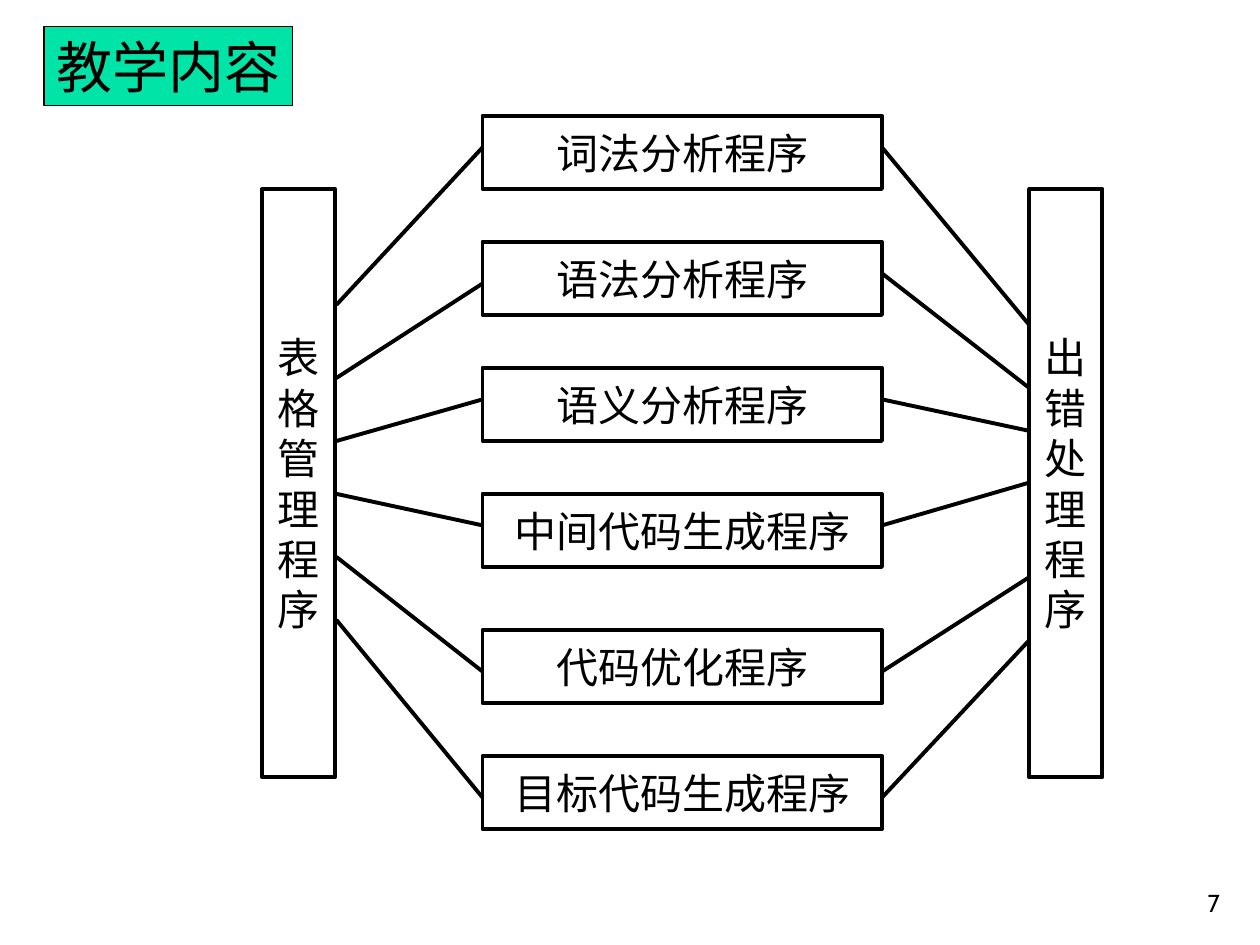
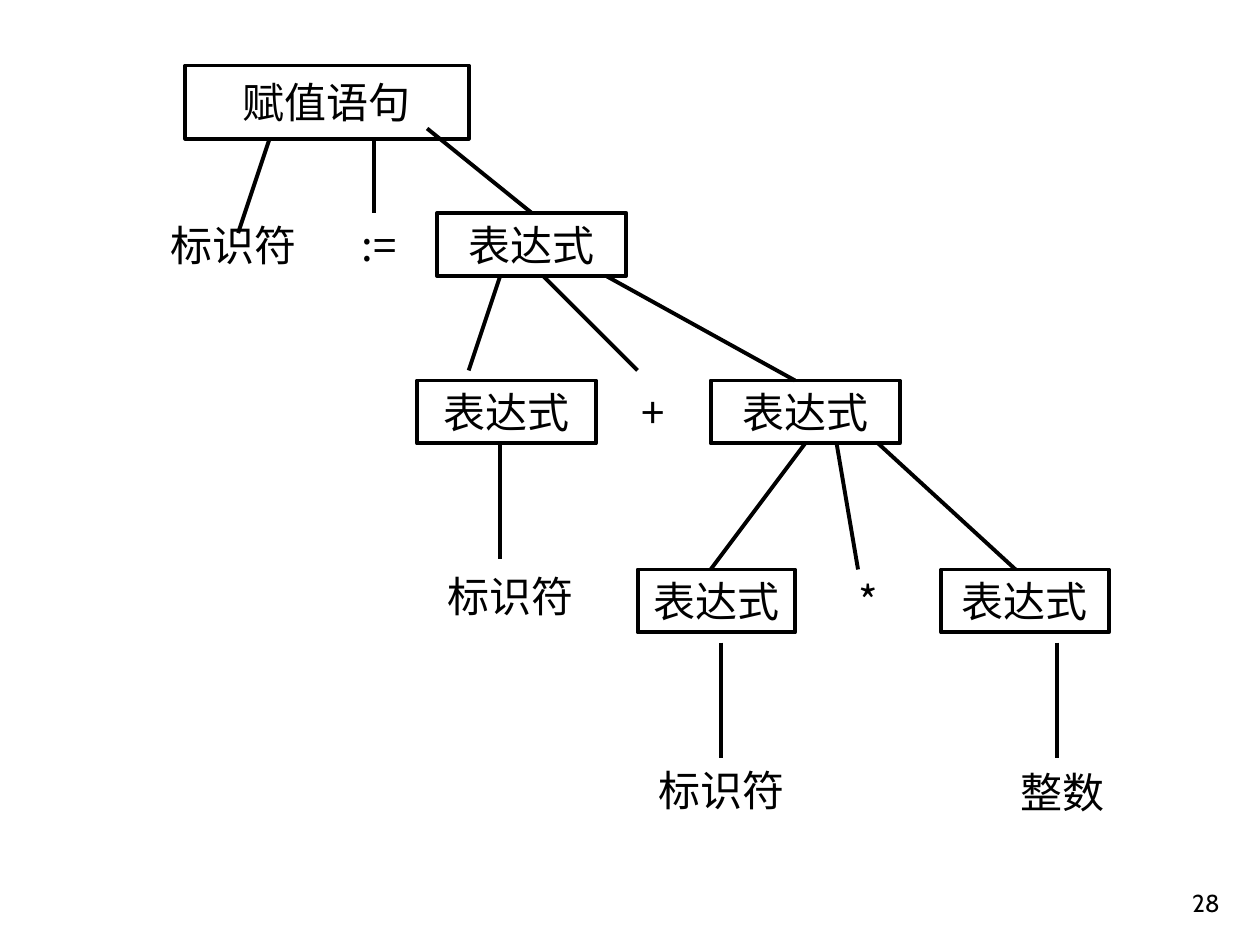
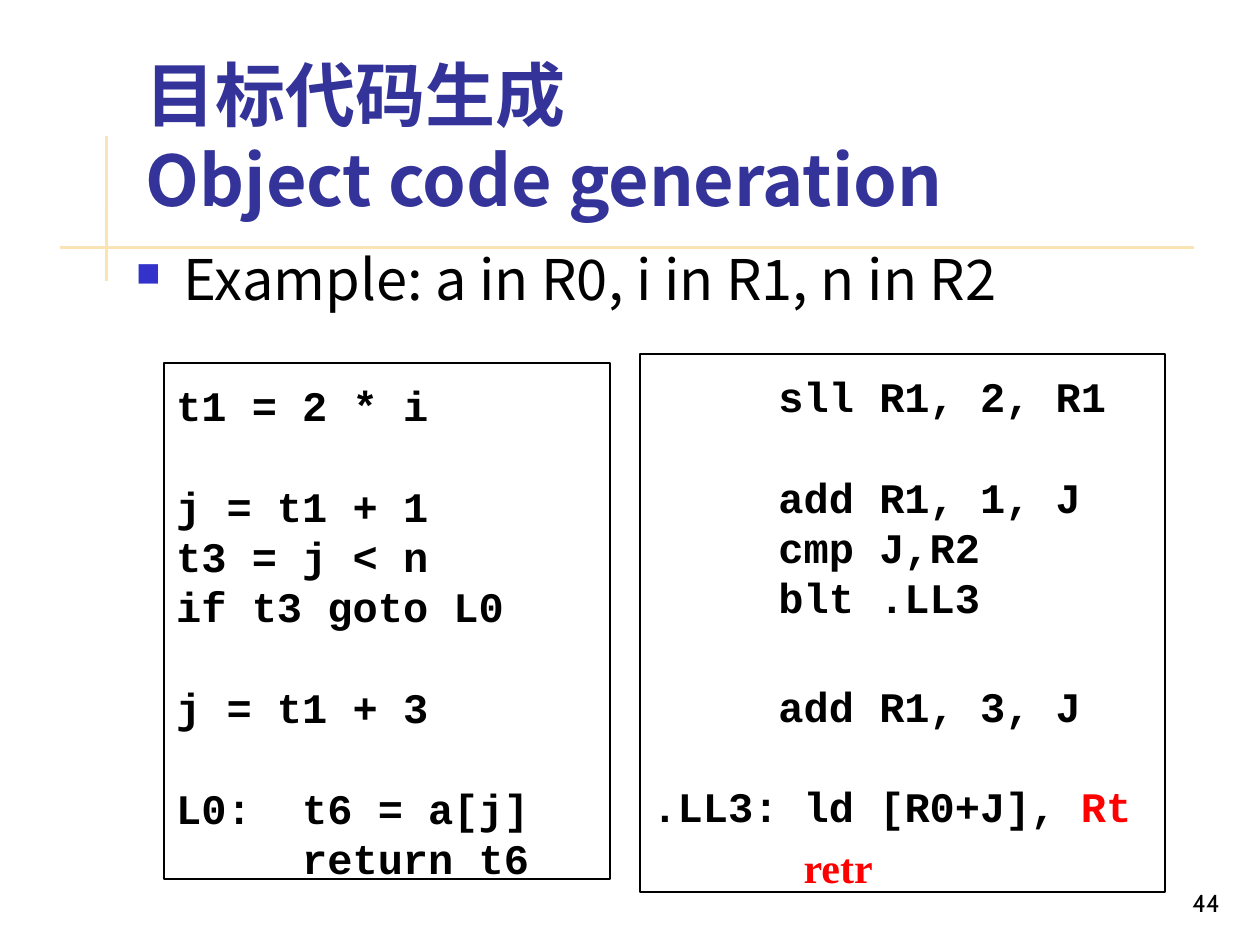
from copy import deepcopy
from lxml.etree import SubElement
from pptx import Presentation
from pptx.dml.color import RGBColor
from pptx.enum.shapes import MSO_CONNECTOR, MSO_SHAPE
from pptx.enum.text import MSO_ANCHOR, PP_ALIGN
from pptx.oxml.ns import qn
from pptx.util import Inches, Pt

COLORS = {
    "ink": "000000", "paper": "FFFFFF", "badge": "00E4A8", "title": "333399",
    "bullet": "3333CC", "accent": "FF0000", "band_start": "FBE4AE", "band_end": "FAE3B7",
}
CJK = "Noto Sans CJK JP"
LABEL = {"name": CJK, "size": Pt(24), "color": "ink"}
BADGE = {**LABEL, "size": Pt(32)}
NUMBER = {"name": "Cabin", "size": Pt(14), "color": "ink"}
TITLE = {"name": CJK, "size": Pt(40), "bold": True, "color": "title"}
CODE = {"name": "Courier New", "size": Pt(24), "bold": True, "color": "ink"}
RED_CODE = {**CODE, "color": "accent"}
RED_SERIF = {**RED_CODE, "name": "Times New Roman"}

PHASE_ROWS = [
    ("词法分析程序", 0.92, 1.17, 2.42, 1.17, 2.58),
    ("语法分析程序", 1.92, 2.25, 3, 2.17, 3.08),
    ("语义分析程序", 2.92, 3.17, 3.5, 3.17, 3.42),
    ("中间代码生成程序", 3.92, 4.17, 3.92, 4.17, 3.83),
    ("代码优化程序", 5, 5.33, 4.42, 5.33, 4.58),
    ("目标代码生成程序", 6, 6.33, 4.92, 6.33, 5.08),
]
TREE_LEAVES = [
    ("整数", 7.76, 6.03, 1.34, 0.5),
    ("标识符", 1.14, 1.69, 1.42, 0.5),
    ("+", 4.89, 3.02, 0.58, 0.5),
    ("标识符", 5.06, 6.02, 1.33, 0.5),
    ("标识符", 3.39, 4.44, 1.33, 0.58),
    (":=", 2.72, 1.69, 0.58, 0.5),
    ("*", 6.64, 4.52, 0.5, 0.5),
]
EXPRESSIONS = [(3.31, 3.02, 1.42), (5.64, 3.02, 1.5), (5.06, 4.52, 1.25), (7.47, 4.52, 1.33)]
BRANCHES = [
    (3.97, 3.52, 3.97, 4.44), (5.72, 5.1, 5.72, 6.02), (8.39, 5.1, 8.39, 6.02),
    (2.97, 1.1, 2.97, 1.69), (3.97, 2.19, 3.72, 2.94), (4.31, 2.19, 5.06, 2.94),
    (4.81, 2.19, 6.31, 3.02), (6.39, 3.52, 5.64, 4.52), (6.64, 3.52, 6.81, 4.52),
    (6.97, 3.52, 8.06, 4.52), (2.14, 1.1, 1.89, 1.85),
]
SOURCE_CODE = """t1 = 2 * i

j = t1 + 1
t3 = j < n
if t3 goto L0

j = t1 + 3

L0: \tt6 = a[j]
\treturn t6"""
ASM_START = "\tsll R1, 2, R1\n\n\tadd R1, 1, J\n\tcmp J,R2\n\tblt .LL3"
ASM_END = "\tadd R1, 3, J\n\n.LL3: ld [R0+J], "


def rgb(key):
    return RGBColor.from_string(COLORS[key])


def add_run(p, text, fmt):
    r = p.add_run()
    r.text = text
    for name, value in fmt.items():
        if name == "color":
            r.font.color.rgb = rgb(value)
        else:
            setattr(r.font, name, value)
    rPr = r._r.get_or_add_rPr()
    SubElement(rPr, qn("a:ea")).set("typeface", fmt["name"])
    return rPr


def add_lines(p, text, fmt):
    for i, line in enumerate(text.split("\n")):
        if i:
            p.add_line_break()
            p._p[-1].append(deepcopy(rPr))
        if line or not i:
            rPr = add_run(p, line, fmt)


def set_frame(sp, anchor, wrap=True, top=0.05, bottom=0.05):
    tf = sp.text_frame
    values = {
        "word_wrap": wrap, "vertical_anchor": anchor,
        "margin_left": Inches(0.1), "margin_right": Inches(0.1),
        "margin_top": Inches(top), "margin_bottom": Inches(bottom),
    }
    for name, value in values.items():
        setattr(tf, name, value)
    return tf


def add_rect(s, x, y, w, h, fill="paper", line="ink", width=2.25):
    sp = s.shapes.add_shape(MSO_SHAPE.RECTANGLE, Inches(x), Inches(y), Inches(w), Inches(h))
    sp.shadow.inherit = False
    if fill:
        sp.fill.solid()
        sp.fill.fore_color.rgb = rgb(fill)
    else:
        sp.fill.background()
    if line:
        sp.line.color.rgb = rgb(line)
        sp.line.width = Pt(width)
    else:
        sp.line.fill.background()
    return sp


def add_label(s, lines, x, y, w, h, fmt=LABEL, align=PP_ALIGN.CENTER, **style):
    sp = add_rect(s, x, y, w, h, **style)
    tf = set_frame(sp, MSO_ANCHOR.MIDDLE, wrap=False)
    for i, line in enumerate(lines):
        p = tf.add_paragraph() if i else tf.paragraphs[0]
        p.alignment = align
        if len(lines) > 1:
            p.line_spacing = Pt(28.8)
        add_run(p, line, fmt)
    return sp


def add_line(s, x1, y1, x2, y2):
    cn = s.shapes.add_connector(
        MSO_CONNECTOR.STRAIGHT, Inches(x1), Inches(y1), Inches(x2), Inches(y2))
    cn.line.color.rgb = rgb("ink")
    cn.line.width = Pt(2.25)
    SubElement(cn._element.spPr, qn("a:effectLst"))
    return cn


def add_text(s, x, y, w, h, anchor, **insets):
    sp = s.shapes.add_textbox(Inches(x), Inches(y), Inches(w), Inches(h))
    return set_frame(sp, anchor, **insets)


def add_number(s, number):
    p = add_text(s, 7.7, 6.83, 2.08, 0.5, MSO_ANCHOR.BOTTOM).paragraphs[0]
    p.alignment = PP_ALIGN.RIGHT
    add_run(p, number, NUMBER)


def add_band(s, x, y, w, h):
    sp = add_rect(s, x, y, w, h, line=None)
    sp.fill.gradient()
    sp.fill.gradient_angle = 90
    for stop, key in zip(sp.fill.gradient_stops, ("band_start", "band_end")):
        stop.color.rgb = rgb(key)


def add_bullet(p):
    pPr = p._p.get_or_add_pPr()
    pPr.set("marL", str(Inches(0.38)))
    pPr.set("indent", str(-Inches(0.38)))
    SubElement(SubElement(pPr, qn("a:buClr")), qn("a:srgbClr")).set("val", COLORS["bullet"])
    SubElement(pPr, qn("a:buSzPct")).set("val", "60000")
    SubElement(pPr, qn("a:buChar")).set("char", "■")


def add_tabs(p):
    tabs = SubElement(p._p.get_or_add_pPr(), qn("a:tabLst"))
    for i in range(1, 5):
        tab = SubElement(tabs, qn("a:tab"))
        tab.set("pos", str(Inches(i)))
        tab.set("algn", "l")


def add_code(s, x, y, w, h, paragraphs):
    sp = add_rect(s, x, y, w, h, fill=None, width=1.25)
    tf = set_frame(sp, MSO_ANCHOR.TOP, top=0.13)
    for i, (gap, runs) in enumerate(paragraphs):
        p = tf.add_paragraph() if i else tf.paragraphs[0]
        p.alignment = PP_ALIGN.LEFT
        p.space_before = Pt(gap)
        add_tabs(p)
        for text, fmt in runs:
            add_lines(p, text, fmt)


def build_contents(s):
    add_label(s, "出错处理程序", 8.17, 1.5, 0.58, 4.67)
    add_label(s, "表格管理程序", 2.08, 1.5, 0.58, 4.67)
    for name, top, left_y, table_y, right_y, error_y in PHASE_ROWS:
        add_label(s, [name], 3.83, top, 3.17, 0.58)
        add_line(s, 3.83, left_y, 2.67, table_y)
        add_line(s, 8.17, error_y, 7, right_y)
    add_number(s, "7")
    add_label(s, ["教学内容"], 0.35, 0.21, 1.97, 0.63, BADGE, PP_ALIGN.LEFT,
              fill="badge", width=0.75)


def build_tree(s):
    for text, *box in TREE_LEAVES:
        add_label(s, [text], *box, line="paper")
    add_label(s, ["赋值语句"], 1.47, 0.52, 2.25, 0.58)
    assigned = add_label(s, ["表达式"], 3.47, 1.69, 1.5, 0.5)
    for x, y, w in EXPRESSIONS:
        add_label(s, ["表达式"], x, y, w, 0.5)
    for ends in BRANCHES:
        add_line(s, *ends)
    add_line(s, 3.39, 1.02, 4.22, 1.69).end_connect(assigned, 0)
    add_number(s, "28")


def build_codegen(s):
    add_band(s, 0.83, 1.08, 0.03, 1.15)
    add_band(s, 0.48, 1.95, 9, 0.03)
    p = add_text(s, 1.06, 0.44, 8.35, 1.31, MSO_ANCHOR.BOTTOM, bottom=0).paragraphs[0]
    p.line_spacing = Pt(48.6)
    add_lines(p, "目标代码生成\nObject code generation", TITLE)
    p = add_text(s, 0.98, 1.94, 8.5, 5.28, MSO_ANCHOR.TOP, top=0).paragraphs[0]
    add_bullet(p)
    add_run(p, "Example: a in R0, i in R1, n in R2", BADGE)
    add_code(s, 1.3, 2.88, 3.54, 4.1, [(0, [(SOURCE_CODE, CODE)])])
    add_code(s, 5.08, 2.81, 4.17, 4.27, [
        (0, [(ASM_START, CODE)]),
        (33, [(ASM_END, CODE), ("Rt", RED_CODE)]),
        (6, [("      ", CODE), ("retr", RED_SERIF)]),
    ])
    add_number(s, "44")


def main():
    prs = Presentation()
    prs.slide_width = Inches(10)
    prs.slide_height = Inches(7.5)
    for build in (build_contents, build_tree, build_codegen):
        build(prs.slides.add_slide(prs.slide_layouts[6]))
    prs.save("out.pptx")


if __name__ == "__main__":
    main()
